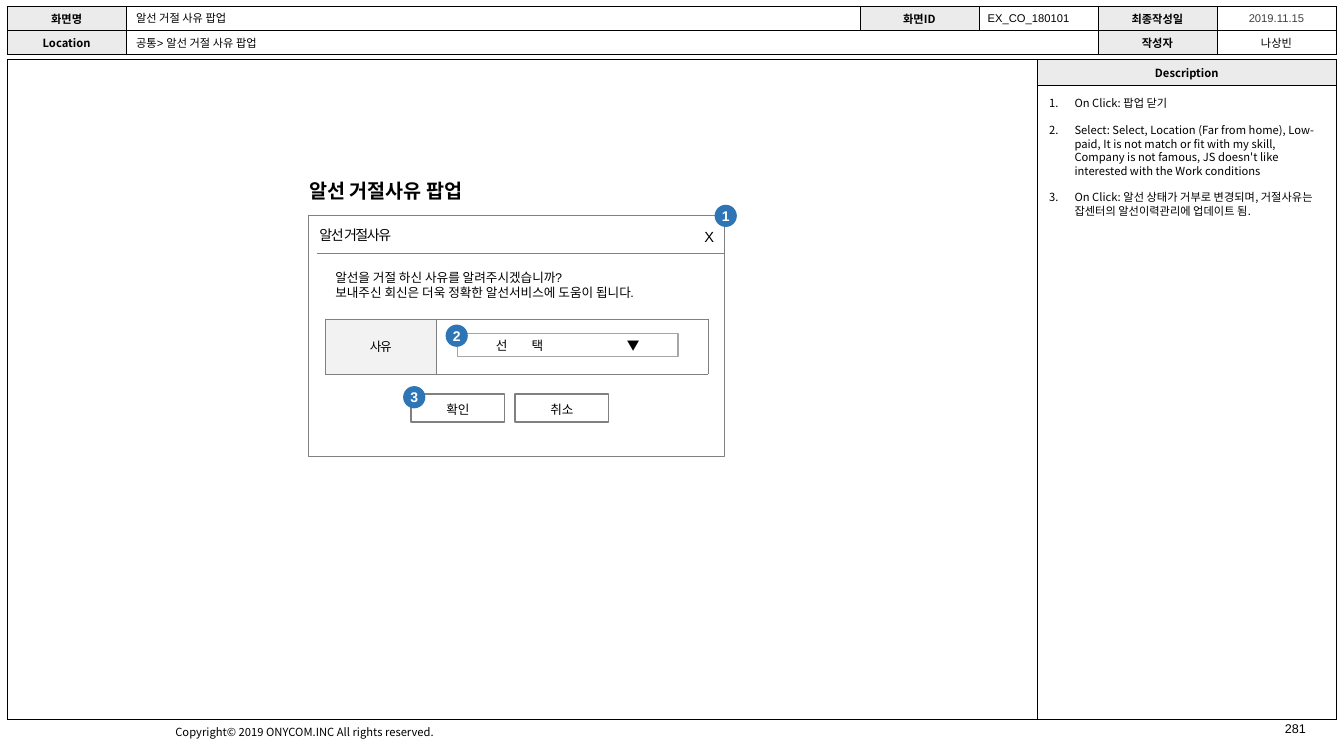
"""Build the screen plan of the referral refusal popup."""
from lxml import etree
from pptx import Presentation
from pptx.dml.color import RGBColor
from pptx.enum.shapes import MSO_CONNECTOR, MSO_SHAPE
from pptx.enum.text import MSO_ANCHOR, PP_ALIGN
from pptx.oxml.ns import qn
from pptx.util import Cm, Pt

RECT, OVAL = MSO_SHAPE.RECTANGLE, MSO_SHAPE.OVAL
LINE = MSO_CONNECTOR.STRAIGHT
LEFT, MID = PP_ALIGN.LEFT, PP_ALIGN.CENTER
TOP, CORE = MSO_ANCHOR.TOP, MSO_ANCHOR.MIDDLE
NOTO, ARIAL, CALIBRI = "Noto Sans CJK KR", "Arial", "Calibri"
COLORS = {"black": "000000", "white": "FFFFFF", "head": "EBEBEB",
          "pale": "F2F2F2", "gray": "808080", "soft": "A6A6A6",
          "date": "404040", "blue": "2E75B6"}
NOTES = [
    "On Click: 팝업 닫기",
    "Select: Select, Location (Far from home), Low-paid, It is not match or "
    "fit with my skill, Company is not famous, JS doesn't like interested "
    "with the Work conditions",
    "On Click: 알선 상태가 거부로 변경되며, 거절사유는 잡센터의 "
    "알선이력관리에 업데이트 됨.",
]


def rgb(name):
    return RGBColor.from_string(COLORS[name])


def add_run(para, text, size=8, font=ARIAL, color="black", bold=False, tight=False):
    run = para.add_run()
    run.text = text
    run.font.size = Pt(size)
    run.font.bold = bold
    run.font.color.rgb = rgb(color)
    run.font.name = font
    props = run._r.get_or_add_rPr()
    etree.SubElement(props, qn("a:ea"), typeface=NOTO)
    if tight:
        props.set("spc", "-100")


def set_frame(frame, sides=0.25, ends=0.13, anchor=TOP, wrap=True):
    frame.word_wrap = wrap
    frame.vertical_anchor = anchor
    frame.margin_left = frame.margin_right = Cm(sides)
    frame.margin_top = frame.margin_bottom = Cm(ends)


def add_text(slide, box, lines, wrap=True, **style):
    frame = slide.shapes.add_textbox(*map(Cm, box)).text_frame
    set_frame(frame, wrap=wrap)
    for i, line in enumerate(lines):
        para = frame.add_paragraph() if i else frame.paragraphs[0]
        add_run(para, line, **style)


def add_box(slide, kind, box, fill=None, edge=None, width=1):
    shape = slide.shapes.add_shape(kind, *map(Cm, box))
    shape.shadow.inherit = False
    if fill:
        shape.fill.solid()
        shape.fill.fore_color.rgb = rgb(fill)
    else:
        shape.fill.background()
    if edge:
        shape.line.color.rgb = rgb(edge)
        shape.line.width = Pt(width)
    else:
        shape.line.fill.background()
    return shape


def add_label(shape, text, **style):
    set_frame(shape.text_frame, 0, 0, CORE, False)
    para = shape.text_frame.paragraphs[0]
    para.alignment = MID
    add_run(para, text, **style)


def add_rule(slide, left, right, top):
    rule = slide.shapes.add_connector(LINE, Cm(left), Cm(top), Cm(right), Cm(top))
    rule.line.color.rgb = rgb("gray")
    rule.line.width = Pt(0.5)
    etree.SubElement(rule._element.spPr, qn("a:effectLst"))


def add_edges(cell, color):
    props = cell._tc.get_or_add_tcPr()
    for side in ("lnL", "lnR", "lnT", "lnB"):
        edge = etree.SubElement(props, qn("a:" + side), w=str(Pt(0.25)))
        fill = etree.SubElement(edge, qn("a:solidFill"))
        etree.SubElement(fill, qn("a:srgbClr"), val=COLORS[color])


def add_grid(slide, left, top, cols, rows, edge, merges=()):
    frame = slide.shapes.add_table(len(rows), len(cols), Cm(left), Cm(top),
                                   Cm(sum(cols)), Cm(sum(rows)))
    table = frame.table
    table.first_row = table.horz_banding = False
    for col, width in zip(table.columns, cols):
        col.width = Cm(width)
    for row, height in zip(table.rows, rows):
        row.height = Cm(height)
    for cell in table.iter_cells():
        cell.margin_left = cell.margin_right = Cm(0.1)
        cell.margin_top = cell.margin_bottom = Cm(0.1)
        cell.vertical_anchor = CORE
        add_edges(cell, edge)
        cell.fill.solid()
        cell.fill.fore_color.rgb = rgb("white")
        etree.SubElement(cell.text_frame.paragraphs[0]._p,
                         qn("a:endParaRPr"), sz="800")
    for first, last in merges:
        table.cell(*first).merge(table.cell(*last))
    return table


def fill_cell(table, row, col, text, fill="white", **style):
    cell = table.cell(row, col)
    cell.fill.fore_color.rgb = rgb(fill)
    para = cell.text_frame.paragraphs[0]
    para.alignment = MID
    add_run(para, text, **style)


def add_header(slide):
    table = add_grid(slide, 0.18, 0.15, [3, 18.49, 3, 3, 3, 3], [0.6, 0.6],
                     "black", [((1, 1), (1, 3))])
    heads = [(0, 0, "화면명"), (0, 2, "화면ID"), (0, 4, "최종작성일"),
             (1, 0, "Location"), (1, 4, "작성자")]
    for row, col, text in heads:
        fill_cell(table, row, col, text, "head", font=NOTO, bold=True)
    fill_cell(table, 0, 5, "2019.11.15", color="date")
    fill_cell(table, 1, 5, "나상빈")
    add_text(slide, (24.64, 0.15, 3.02, 0.61), ["EX_CO_180101"])
    add_text(slide, (3.18, 0.15, 9.68, 0.61), ["알선 거절 사유 팝업"])
    add_text(slide, (3.18, 0.79, 9.68, 0.61), ["공통> 알선 거절 사유 팝업"])


def add_notes(slide):
    frame = slide.shapes.add_textbox(Cm(26.24), Cm(2.34), Cm(7.04), Cm(3.28)).text_frame
    set_frame(frame, 0.1, 0.1)
    frame.margin_left = Cm(0.2)
    for i, text in enumerate(NOTES):
        para = frame.add_paragraph() if i else frame.paragraphs[0]
        if i:
            para.space_before = Pt(9.6)
        props = para._p.get_or_add_pPr()
        props.set("marL", str(Cm(0.64)))
        props.set("indent", str(Cm(-0.64)))
        etree.SubElement(props, qn("a:buFont"), typeface=NOTO)
        etree.SubElement(props, qn("a:buAutoNum"), type="arabicPeriod",
                         startAt=str(i + 1))
        add_run(para, text, font=NOTO)


def add_select(slide):
    shape = add_box(slide, RECT, (11.53, 8.41, 5.56, 0.58), edge="soft")
    set_frame(shape.text_frame, 0, 0, CORE)
    shape.text_frame.margin_left = Cm(0.97)
    para = shape.text_frame.paragraphs[0]
    para.alignment = LEFT
    tabs = etree.SubElement(para._p.get_or_add_pPr(), qn("a:tabLst"))
    for stop in (0.9, 3.3):
        etree.SubElement(tabs, qn("a:tab"), pos=str(Cm(stop)), algn="l")
    add_run(para, "선\t택\t▼", 9, tight=True)


def add_popup(slide):
    add_text(slide, (7.54, 4.37, 6.1, 0.86), ["알선 거절사유 팝업"], size=14, bold=True)
    add_box(slide, RECT, (7.77, 5.44, 10.49, 6.05), "white", "gray", 0.5)
    add_text(slide, (7.8, 5.59, 3.89, 0.69), ["알선 거절사유"], size=10, tight=True)
    add_text(slide, (17.5, 5.61, 0.79, 0.71), ["X"], size=10.5, tight=True)
    add_rule(slide, 7.98, 18.26, 6.38)
    add_text(slide, (8.2, 6.68, 9.65, 1.02),
             ["알선을 거절 하신 사유를 알려주시겠습니까?",
              "보내주신 회신은 더욱 정확한 알선서비스에 도움이 됩니다."], size=9)
    table = add_grid(slide, 8.2, 8.03, [2.79, 6.86], [1.4], "gray")
    fill_cell(table, 0, 0, "사유", "pale", size=9, tight=True)
    add_select(slide)
    for left, text in ((10.36, "확인"), (12.98, "취소")):
        button = add_box(slide, RECT, (left, 9.93, 2.36, 0.71), "white", "gray")
        add_label(button, text, size=9, font=CALIBRI)
        button.text_frame.margin_top = Cm(0.08)
    spots = [(18.01, 5.16), (11.23, 8.18), (10.16, 9.73)]
    for num, (left, top) in enumerate(spots, 1):
        badge = add_box(slide, OVAL, (left, top, 0.56, 0.56), "blue")
        add_label(badge, str(num), size=10, color="white", bold=True)


def main():
    deck = Presentation()
    deck.slide_width, deck.slide_height = Cm(33.87), Cm(19.05)
    slide = deck.slides.add_slide(deck.slide_layouts[6])
    table = add_grid(slide, 0.18, 1.5, [25.96, 7.54], [0.64, 15.97],
                     "black", [((0, 0), (1, 0))])
    fill_cell(table, 0, 1, "Description", "head", font=NOTO, bold=True)
    add_header(slide)
    add_popup(slide)
    add_notes(slide)
    add_text(slide, (4.17, 18.14, 7.29, 0.61),
             ["Copyright© 2019 ONYCOM.INC All rights reserved."],
             wrap=False, font=NOTO)
    add_text(slide, (32.13, 18.03, 1.42, 1.02), ["281"], size=9)
    deck.save("out.pptx")


if __name__ == "__main__":
    main()
